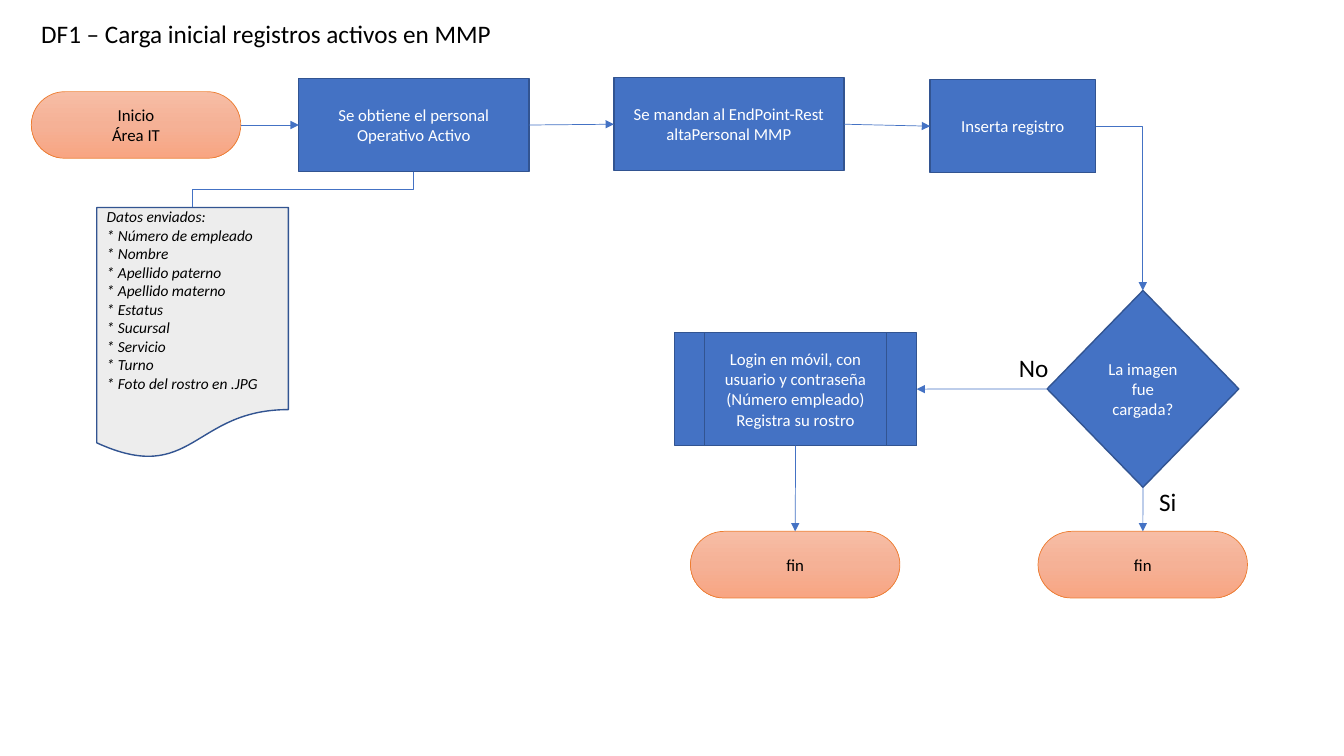
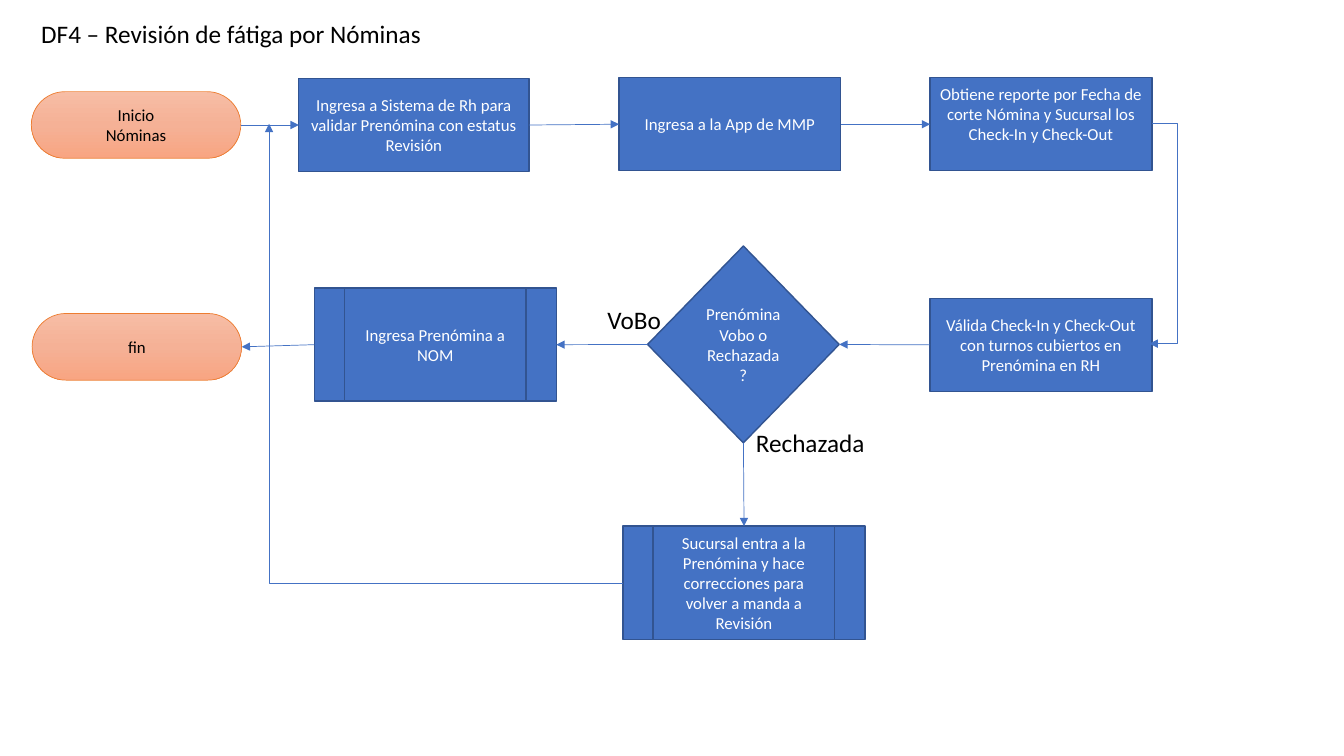
import copy
from dataclasses import dataclass
from typing import Any, Optional

import lxml.etree
import pptx
import pptx.dml.color
import pptx.enum.shapes
import pptx.enum.text
import pptx.oxml.ns
import pptx.util

Cm, Pt = pptx.util.Cm, pptx.util.Pt
MSO = pptx.enum.shapes.MSO_SHAPE
CONNECTOR = pptx.enum.shapes.MSO_CONNECTOR
ANCHOR = pptx.enum.text.MSO_ANCHOR
ALIGN = pptx.enum.text.PP_ALIGN
qn = pptx.oxml.ns.qn

# Shared look
COLORS = {
    "blue": "4472C4", "navy": "325491", "orange": "ED7D31", "gray": "EDEDED",
    "black": "000000", "white": "FFFFFF",
    "peach_top": "F7BDA5", "peach_mid": "F5B196", "peach_low": "F8A582",
}
PEACH = [(0, "peach_top"), (0.5, "peach_mid"), (1, "peach_low")]
TOP, LEFT, BOTTOM, RIGHT = range(4)


@dataclass(frozen=True)
class Kind:
    """Look of one type of flowchart shape; lengths in cm."""
    preset: Any
    width: float
    height: float
    fill: Optional[str] = "blue"  # None means the peach gradient
    line: str = "navy"
    line_width: float = 1
    color: str = "white"
    size: int = 12
    italic: bool = False
    align: Any = ALIGN.CENTER
    anchor: Any = ANCHOR.MIDDLE
    margin_top: float = 0.13


TERMINATOR = Kind(MSO.FLOWCHART_TERMINATOR, 5.28, 1.68, None, "orange", 0.5, "black")
PROCESS = Kind(MSO.FLOWCHART_PROCESS, 5.8, 2.34)
DECISION = Kind(MSO.FLOWCHART_DECISION, 4.83, 4.96)
SUBPROCESS = Kind(MSO.FLOWCHART_PREDEFINED_PROCESS, 6.1, 2.85)
DOCUMENT = Kind(MSO.FLOWCHART_DOCUMENT, 4.83, 6.35, "gray", color="black", size=11,
                italic=True, align=ALIGN.LEFT, anchor=ANCHOR.TOP, margin_top=0)


@dataclass(frozen=True)
class Node:
    key: str
    kind: Kind
    left: float
    top: float
    text: str
    width: Optional[float] = None
    margin_bottom: float = 0.13


@dataclass(frozen=True)
class Link:
    start: str
    start_side: int
    end: str
    end_side: int


@dataclass(frozen=True)
class Elbow:
    left: float
    top: float
    width: float
    height: float
    preset: str = "bentConnector2"
    rotation: int = 0
    flip: bool = False
    bend: Optional[float] = None  # share of the width
    arrow: bool = True


@dataclass(frozen=True)
class Label:
    left: float
    top: float
    width: float
    text: str


@dataclass(frozen=True)
class Flow:
    title: Label
    nodes: list[Node]
    links: list[Link]
    elbows: list[Elbow]
    labels: list[Label]


def rgb(name: str) -> pptx.dml.color.RGBColor:
    return pptx.dml.color.RGBColor.from_string(COLORS[name])


def apply(target: Any, values: dict[str, Any]) -> None:
    for name, value in values.items():
        setattr(target, name, value)


def write(tf: Any, text: str, size: int, color: str, italic: bool = False,
          align: Any = ALIGN.LEFT) -> None:
    for i, line in enumerate(text.split("\n")):
        p = tf.paragraphs[0] if i == 0 else tf.add_paragraph()
        p.alignment = align
        r = p.add_run()
        r.text = line
        apply(r.font, {"name": "Calibri", "size": Pt(size), "italic": italic})
        r.font.color.rgb = rgb(color)


def fill_peach(sp: Any) -> None:
    sp.fill.gradient()
    sp.fill.gradient_angle = 270
    stops = sp._element.spPr.find(".//" + qn("a:gsLst"))
    stops.insert(1, copy.deepcopy(stops[0]))
    for stop, (position, color) in zip(sp.fill.gradient_stops, PEACH):
        stop.position = position
        stop.color.rgb = rgb(color)


def add_node(s: Any, node: Node) -> Any:
    kind = node.kind
    sp = s.shapes.add_shape(kind.preset, Cm(node.left), Cm(node.top),
                            Cm(node.width or kind.width), Cm(kind.height))
    sp.shadow.inherit = False
    if kind.fill is None:
        fill_peach(sp)
    else:
        sp.fill.solid()
        sp.fill.fore_color.rgb = rgb(kind.fill)
    sp.line.color.rgb = rgb(kind.line)
    sp.line.width = Pt(kind.line_width)
    tf = sp.text_frame
    apply(tf, {"word_wrap": True, "vertical_anchor": kind.anchor,
               "margin_top": Cm(kind.margin_top),
               "margin_bottom": Cm(node.margin_bottom)})
    write(tf, node.text, kind.size, kind.color, kind.italic, kind.align)
    return sp


def style_connector(c: Any, arrow: bool = True) -> None:
    c.line.color.rgb = rgb("blue")
    c.line.width = Pt(0.5)
    spPr = c._element.spPr
    if arrow:
        lxml.etree.SubElement(spPr.find(qn("a:ln")), qn("a:tailEnd"), type="triangle")
    lxml.etree.SubElement(spPr, qn("a:effectLst"))


def add_link(s: Any, link: Link, shapes: dict[str, Any]) -> None:
    c = s.shapes.add_connector(CONNECTOR.STRAIGHT, 0, 0, 0, 0)
    c.begin_connect(shapes[link.start], link.start_side)
    c.end_connect(shapes[link.end], link.end_side)
    style_connector(c)


def add_elbow(s: Any, e: Elbow) -> None:
    x1, x2 = Cm(e.left), Cm(e.left + e.width)
    if e.flip:
        x1, x2 = x2, x1
    c = s.shapes.add_connector(CONNECTOR.ELBOW, x1, Cm(e.top), x2, Cm(e.top + e.height))
    spPr = c._element.spPr
    if e.rotation:
        spPr.find(qn("a:xfrm")).set("rot", str(e.rotation * 60000))
    geom = spPr.find(qn("a:prstGeom"))
    geom.set("prst", e.preset)
    if e.bend is not None:
        guides = geom.find(qn("a:avLst"))
        if guides is None:
            guides = lxml.etree.SubElement(geom, qn("a:avLst"))
        lxml.etree.SubElement(guides, qn("a:gd"), name="adj1",
                              fmla=f"val {round(e.bend * 100000)}")
    style_connector(c, e.arrow)


def add_label(s: Any, label: Label) -> None:
    tb = s.shapes.add_textbox(Cm(label.left), Cm(label.top), Cm(label.width), Cm(1.02))
    apply(tb.text_frame, {"word_wrap": False,
                          "auto_size": pptx.enum.text.MSO_AUTO_SIZE.SHAPE_TO_FIT_TEXT})
    write(tb.text_frame, label.text, 18, "black")


def add_flow(prs: Any, flow: Flow) -> None:
    s = prs.slides.add_slide(prs.slide_layouts[6])
    shapes = {node.key: add_node(s, node) for node in flow.nodes}
    for link in flow.links:
        add_link(s, link, shapes)
    for elbow in flow.elbows:
        add_elbow(s, elbow)
    for label in [flow.title, *flow.labels]:
        add_label(s, label)


# Initial load of active records
LOAD = Flow(
    title=Label(0.79, 0.33, 11.99, "DF1 – Carga inicial registros activos en MMP"),
    nodes=[
        Node("start", TERMINATOR, 0.79, 2.31, "Inicio\nÁrea IT"),
        Node("staff", PROCESS, 7.53, 1.98, "Se obtiene el personal Operativo Activo"),
        Node("send", PROCESS, 15.47, 1.96, "Se mandan al EndPoint-Rest altaPersonal MMP"),
        Node("insert", PROCESS, 23.44, 2.01, "Inserta registro", width=4.17),
        Node("data", DOCUMENT, 2.44, 5.23,
             "Datos enviados:\n* Número de empleado\n* Nombre\n* Apellido paterno\n"
             "* Apellido materno\n* Estatus\n* Sucursal\n* Servicio\n* Turno\n"
             "* Foto del rostro en .JPG"),
        Node("loaded", DECISION, 26.39, 7.32, "La imagen fue cargada?"),
        Node("login", SUBPROCESS, 17, 8.38,
             "Login en móvil, con usuario y contraseña (Número empleado)\n"
             "Registra su rostro"),
        Node("end_login", TERMINATOR, 17.4, 13.39, "fin"),
        Node("end_loaded", TERMINATOR, 26.16, 13.39, "fin"),
    ],
    links=[
        Link("start", RIGHT, "staff", LEFT),
        Link("staff", RIGHT, "send", LEFT),
        Link("send", RIGHT, "insert", LEFT),
        Link("loaded", LEFT, "login", RIGHT),
        Link("loaded", BOTTOM, "end_loaded", TOP),
        Link("login", BOTTOM, "end_login", TOP),
    ],
    elbows=[
        Elbow(27.61, 3.18, 1.19, 4.14),
        Elbow(7.19, 1.99, 0.9, 5.57, "bentConnector3", rotation=90, arrow=False),
    ],
    labels=[Label(28.96, 12.14, 0.97, "Si"), Label(25.43, 8.76, 1.27, "No")],
)

# Payroll review
REVIEW = Flow(
    title=Label(0.79, 0.33, 10.21, "DF4 – Revisión de fátiga por Nóminas"),
    nodes=[
        Node("start", TERMINATOR, 0.79, 2.31, "Inicio\nNóminas"),
        Node("system", PROCESS, 7.53, 1.98,
             "Ingresa a Sistema de Rh para validar Prenómina con estatus Revisión"),
        Node("app", PROCESS, 15.6, 1.96, "Ingresa a la App de MMP", width=5.59),
        Node("report", PROCESS, 23.44, 1.96,
             "Obtiene reporte por Fecha de corte Nómina y Sucursal los Check-In y Check-Out",
             width=5.59, margin_bottom=0.64),
        Node("validate", PROCESS, 23.44, 7.52,
             "Válida Check-In y Check-Out con turnos cubiertos en Prenómina en RH",
             width=5.59),
        Node("approved", DECISION, 16.32, 6.2, "Prenómina Vobo o Rechazada?"),
        Node("payroll", SUBPROCESS, 7.92, 7.26, "Ingresa Prenómina a NOM"),
        Node("end", TERMINATOR, 0.81, 7.9, "fin"),
        Node("fix", SUBPROCESS, 15.7, 13.26,
             "Sucursal entra a la Prenómina y hace correcciones para volver a manda a "
             "Revisión"),
    ],
    links=[
        Link("start", RIGHT, "system", LEFT),
        Link("system", RIGHT, "app", LEFT),
        Link("app", RIGHT, "report", LEFT),
        Link("validate", LEFT, "approved", RIGHT),
        Link("approved", LEFT, "payroll", RIGHT),
        Link("payroll", LEFT, "end", RIGHT),
        Link("approved", BOTTOM, "fix", TOP),
    ],
    elbows=[
        Elbow(28.97, 3.12, 0.06, 5.54, "bentConnector3", flip=True, bend=-10.67),
        Elbow(6.78, 3.12, 8.92, 11.57, rotation=180),
    ],
    labels=[Label(15.06, 7.54, 1.88, "VoBo"), Label(18.8, 10.64, 3.28, "Rechazada")],
)


def main() -> None:
    prs = pptx.Presentation()
    prs.slide_width, prs.slide_height = Cm(33.87), Cm(19.05)
    for flow in (LOAD, REVIEW):
        add_flow(prs, flow)
    prs.save("out.pptx")


if __name__ == "__main__":
    main()
